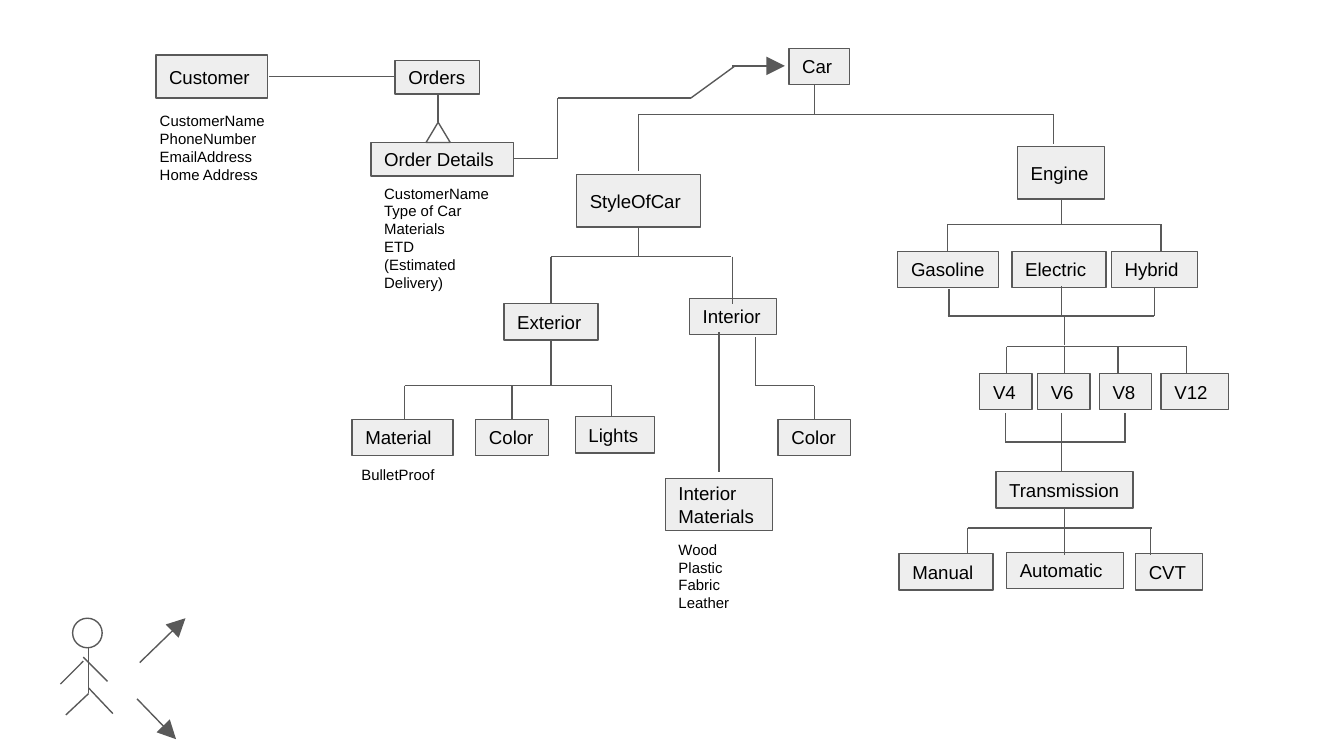
from itertools import pairwise

from lxml.etree import SubElement
from pptx import Presentation
from pptx.dml.color import RGBColor
from pptx.enum.shapes import MSO_CONNECTOR, MSO_SHAPE
from pptx.enum.text import MSO_ANCHOR, PP_ALIGN
from pptx.oxml.ns import qn
from pptx.util import Inches, Pt

BLACK = RGBColor(0x00, 0x00, 0x00)
BOX_FILL = RGBColor(0xEE, 0xEE, 0xEE)
OUTLINE = RGBColor(0x59, 0x59, 0x59)

BOX_HEIGHT = 0.27
ENGINE_ROW, CYLINDER_ROW, FEATURE_ROW, GEARBOX_ROW = 1.87, 2.78, 3.12, 4.12

presentation = Presentation()
presentation.slide_width = Inches(10)
presentation.slide_height = Inches(10) * 9 // 16
slide = presentation.slides.add_slide(presentation.slide_layouts[6])


def write_text(shape, text, size):
    """Fill a shape with left-aligned lines of one size."""
    frame = shape.text_frame
    frame.word_wrap = True
    frame.margin_left = frame.margin_right = Inches(0.1)
    frame.margin_top = frame.margin_bottom = Inches(0.1)
    frame.text = text
    for paragraph in frame.paragraphs:
        paragraph.alignment = PP_ALIGN.LEFT
        paragraph.font.name = "Arial"
        paragraph.font.size = Pt(size)
        paragraph.font.color.rgb = BLACK


def draw_path(points, arrow=False):
    """Join neighbouring points with connectors, with an optional arrowhead."""
    for start, end in pairwise(points):
        connector = slide.shapes.add_connector(
            MSO_CONNECTOR.STRAIGHT, *(Inches(value) for value in start + end))
        connector.line.color.rgb = OUTLINE
        connector.line.width = Pt(0.75)
        properties = connector._element.spPr
        SubElement(properties, qn("a:effectLst"))
        if arrow:
            SubElement(properties.find(qn("a:ln")), qn("a:tailEnd"),
                       type="triangle", w="lg", len="lg")


# Entities: text, left, top, width, height
entities = [
    ("Customer", 1.16, 0.41, 0.83, 0.32),
    ("Orders", 2.94, 0.45, 0.63, 0.25),
    ("Order Details", 2.76, 1.06, 1.06, 0.25),
    ("Car", 5.87, 0.36, 0.45, BOX_HEIGHT),
    ("StyleOfCar", 4.29, 1.3, 0.92, 0.39),
    ("Engine", 7.57, 1.09, 0.65, 0.39),
    ("Exterior", 3.75, 2.26, 0.7, BOX_HEIGHT),
    ("Interior", 5.13, 2.22, 0.65, BOX_HEIGHT),
    ("Material", 2.62, FEATURE_ROW, 0.75, BOX_HEIGHT),
    ("Color", 3.54, FEATURE_ROW, 0.54, BOX_HEIGHT),
    ("Lights", 4.28, 3.1, 0.59, BOX_HEIGHT),
    ("Color", 5.79, FEATURE_ROW, 0.54, BOX_HEIGHT),
    ("Interior\nMaterials", 4.95, 3.56, 0.8, 0.39),
    ("Gasoline", 6.68, ENGINE_ROW, 0.75, BOX_HEIGHT),
    ("Electric", 7.53, ENGINE_ROW, 0.7, BOX_HEIGHT),
    ("Hybrid", 8.27, ENGINE_ROW, 0.64, BOX_HEIGHT),
    ("V4", 7.29, CYLINDER_ROW, 0.39, BOX_HEIGHT),
    ("V6", 7.72, CYLINDER_ROW, 0.39, BOX_HEIGHT),
    ("V8", 8.18, CYLINDER_ROW, 0.39, BOX_HEIGHT),
    ("V12", 8.64, CYLINDER_ROW, 0.5, BOX_HEIGHT),
    ("Transmission", 7.41, 3.51, 1.02, BOX_HEIGHT),
    ("Manual", 6.69, GEARBOX_ROW, 0.7, BOX_HEIGHT),
    ("Automatic", 7.49, 4.11, 0.87, BOX_HEIGHT),
    ("CVT", 8.45, GEARBOX_ROW, 0.5, BOX_HEIGHT),
]
for text, *place in entities:
    box = slide.shapes.add_shape(MSO_SHAPE.RECTANGLE, *map(Inches, place))
    box.shadow.inherit = False
    box.fill.solid()
    box.fill.fore_color.rgb = BOX_FILL
    box.line.color.rgb = OUTLINE
    box.line.width = Pt(0.75)
    box.text_frame.vertical_anchor = MSO_ANCHOR.MIDDLE
    write_text(box, text, 10)

# Attributes listed below their entities
attributes = [
    ("CustomerName\nPhoneNumber\nEmailAddress\nHome Address", 1.09, 0.73, 0.99, 0.68),
    ("CustomerName\nType of Car\nMaterials\nETD (Estimated Delivery)", 2.76, 1.27, 0.98, 0.84),
    ("BulletProof", 2.59, 3.4, 0.8, 0.32),
    ("Wood\nPlastic\nFabric\nLeather", 4.95, 3.92, 0.8, 0.68),
]
for text, *place in attributes:
    write_text(slide.shapes.add_textbox(*map(Inches, place)), text, 8)

# Crow's foot of the order and head of the stick figure
outlines = [
    (MSO_SHAPE.ISOSCELES_TRIANGLE, 3.17, 0.91, 0.18, 0.15),
    (MSO_SHAPE.OVAL, 0.54, 4.6, 0.22, 0.22),
]
for kind, *place in outlines:
    outline = slide.shapes.add_shape(kind, *map(Inches, place))
    outline.shadow.inherit = False
    outline.fill.background()
    outline.line.color.rgb = OUTLINE
    outline.line.width = Pt(0.75)

# Branches: height of the bar, x of its joints, stems as (x, far end)
branches = [
    (0.85, (4.75, 5.7, 7.84), ((6.06, 0.63), (4.75, 1.27), (7.84, 1.07))),
    (1.91, (4.1, 4.77, 5.44), ((4.75, 1.68), (4.1, 2.26), (5.45, 2.26))),
    (2.87, (3.01, 3.65, 4.1, 4.55),
     ((4.1, 2.53), (3.01, 3.12), (3.81, 3.12), (4.55, 3.1))),
    (2.87, (5.62, 6.06), ((5.62, 2.51), (6.06, 3.12))),
    (1.67, (7.05, 7.9, 8.64), ((7.9, 1.48), (7.05, 1.87), (8.64, 1.87))),
    (2.35, (7.05, 7.92, 8.59),
     ((7.06, 2.15), (7.9, 2.13), (8.59, 2.14), (7.92, 2.57))),
    (2.58, (7.49, 8.83),
     ((7.49, 2.78), (7.92, 2.78), (8.32, 2.78), (8.83, 2.78))),
    (3.29, (7.48, 7.9, 8.38),
     ((7.48, 3.07), (7.9, 3.07), (8.37, 3.07), (7.9, 3.51))),
    (3.93, (7.2, 7.78, 8.57),
     ((7.92, 3.78), (7.2, 4.12), (7.92, 4.13), (8.56, 4.13))),
]
for bar, joints, stems in branches:
    draw_path([(x, bar) for x in joints])
    for x, far_end in stems:
        draw_path([(x, bar), (x, far_end)])

links = [
    [(2, 0.57), (2.94, 0.57)],
    [(3.26, 0.91), (3.26, 0.69)],
    [(5.35, 3.51), (5.35, 2.47)],
    [(3.82, 1.18), (4.15, 1.18), (4.15, 0.73), (5.14, 0.73), (5.47, 0.49)],
]
figure_limbs = [
    [(0.66, 4.82), (0.66, 5.16), (0.49, 5.32)],
    [(0.66, 5.12), (0.84, 5.31)],
    [(0.62, 4.92), (0.45, 5.09)],
    [(0.62, 4.89), (0.8, 5.07)],
]
for points in links + figure_limbs:
    draw_path(points)

arrows = [
    [(5.45, 0.49), (5.84, 0.49)],
    [(1.04, 4.93), (1.38, 4.6)],
    [(1.02, 5.2), (1.31, 5.5)],
]
for points in arrows:
    draw_path(points, arrow=True)

presentation.save("out.pptx")
